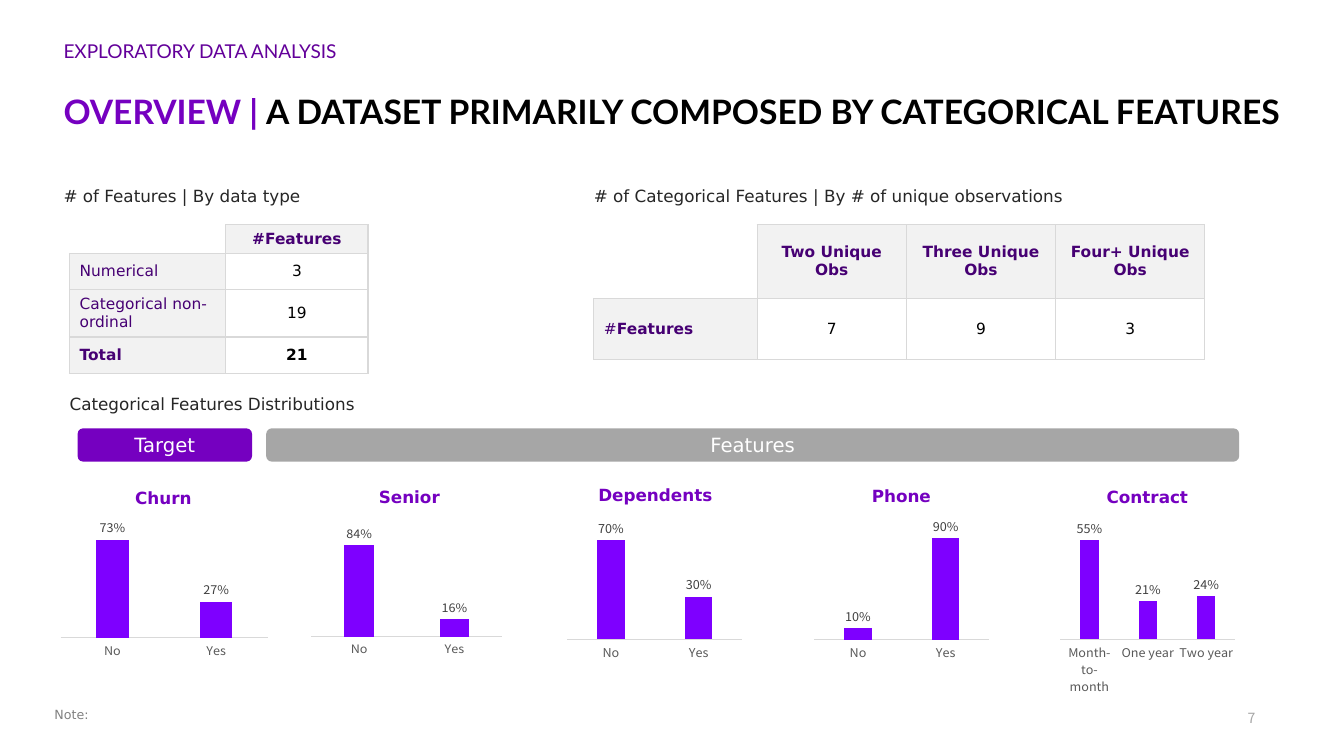
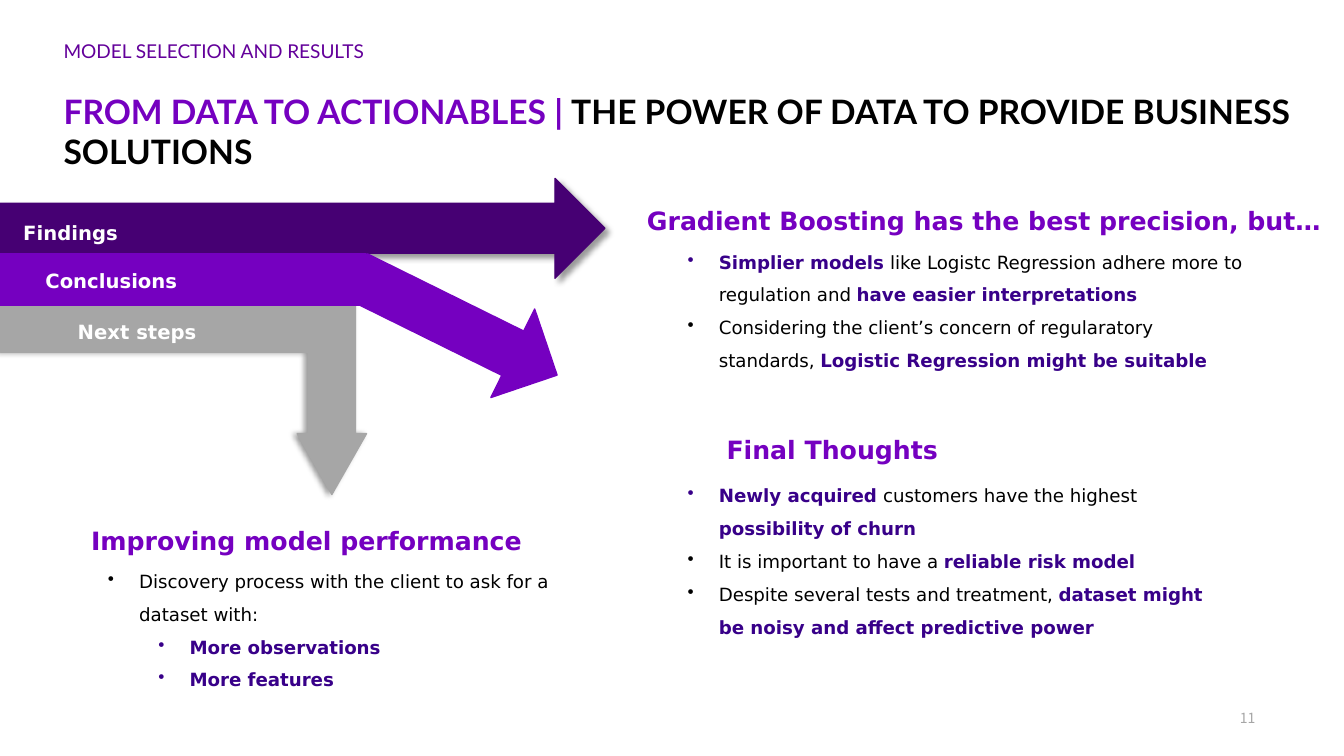
from lxml import etree
from pptx import Presentation
from pptx.chart.data import CategoryChartData
from pptx.dml.color import RGBColor
from pptx.enum.chart import XL_CHART_TYPE, XL_LABEL_POSITION, XL_TICK_MARK
from pptx.enum.shapes import MSO_SHAPE
from pptx.enum.text import MSO_ANCHOR, PP_ALIGN
from pptx.oxml.ns import qn
from pptx.util import Emu, Inches, Pt

COLUMNS = XL_CHART_TYPE.COLUMN_CLUSTERED
OUTSIDE_END = XL_LABEL_POSITION.OUTSIDE_END
NO_TICK = XL_TICK_MARK.NONE
RECT, ROUNDED = MSO_SHAPE.RECTANGLE, MSO_SHAPE.ROUNDED_RECTANGLE
RIGHT_ARROW, BENT_ARROW = MSO_SHAPE.RIGHT_ARROW, MSO_SHAPE.BENT_ARROW
TOP, MIDDLE, BOTTOM = MSO_ANCHOR.TOP, MSO_ANCHOR.MIDDLE, MSO_ANCHOR.BOTTOM
LEFT, CENTER, RIGHT = PP_ALIGN.LEFT, PP_ALIGN.CENTER, PP_ALIGN.RIGHT

PURPLE, DEEP, INDIGO, VIOLET = "7500C0", "460073", "380089", "63009A"
BAR = "7E00FF"
BLACK, WHITE = "000000", "FFFFFF"
CAPTION, LABEL, TICK = "262626", "404040", "595959"
NOTE, GREY, RULE, PALE = "808080", "A6A6A6", "D9D9D9", "F2F2F2"
BODY, HEADING, NUMBERS = "DejaVu Sans", "Lato", "Noto Sans CJK JP"


def rgb(value):
    return RGBColor.from_string(value)


def inches(*lengths):
    return [Inches(length) for length in lengths]


def style_font(font, size, color, face, bold=False):
    font.size, font.name, font.bold = Pt(size), face, bold
    font.color.rgb = rgb(color)


def write(frame, *paragraphs, size=12, color=BLACK, face=BODY, bold=False,
          accent=None, align=LEFT, spacing=None):
    """Fill a frame; words between ** marks are bold and in the accent colour."""
    for index, words in enumerate(paragraphs):
        paragraph = frame.add_paragraph() if index else frame.paragraphs[0]
        paragraph.alignment = align
        if spacing:
            paragraph.line_spacing = spacing
        for part, piece in enumerate(words.split("**")):
            if piece:
                run = paragraph.add_run()
                run.text = piece
                marked = part % 2 == 1
                style_font(run.font, size, accent or color if marked else color,
                           face, bold or marked)


def set_borders(cell, sides):
    """Draw the given sides (of L, R, T, B) and clear the others."""
    properties = cell._tc.get_or_add_tcPr()
    for index, side in enumerate("LRTB"):
        line = etree.Element(qn(f"a:ln{side}"), w=str(Pt(1)))
        if side in sides:
            fill = etree.SubElement(line, qn("a:solidFill"))
            etree.SubElement(fill, qn("a:srgbClr"), val=RULE)
        else:
            etree.SubElement(line, qn("a:noFill"))
        properties.insert(index, line)


def add_shadow(shape, direction):
    effects = shape._element.spPr.find(qn("a:effectLst"))
    shadow = etree.SubElement(
        effects, qn("a:outerShdw"), blurRad=str(Pt(4)), dist=str(Pt(3)),
        dir=str(direction * 60000), algn="ctr", rotWithShape="0")
    tint = etree.SubElement(shadow, qn("a:srgbClr"), val=BLACK)
    etree.SubElement(tint, qn("a:alpha"), val="40000")


class Deck:
    def __init__(self):
        self.file = Presentation()
        self.file.slide_width, self.file.slide_height = inches(13.33, 7.5)
        self.slide = None

    def new_slide(self, section, title, number):
        self.slide = self.file.slides.add_slide(self.file.slide_layouts[6])
        self.text((0.63, 0.85, 12.29, 0.99), title, insets=(0, 0.05, 0, 0),
                  size=24, face=HEADING, bold=True, accent=PURPLE)
        self.text((0.63, 0.44, 6.25, 0.19), section, insets=(0, 0.05, 0, 0),
                  size=13.6, face=HEADING, color=VIOLET, spacing=0.5)
        self.text((12.12, 7.02, 0.33, 0.19), number, insets=(0, 0, 0, 0),
                  anchor=BOTTOM, size=10, face=NUMBERS, color=GREY, align=RIGHT)

    def text(self, box, *paragraphs, insets=(0, 0, 0, 0.05), anchor=TOP, **style):
        frame = self.slide.shapes.add_textbox(*inches(*box)).text_frame
        frame.word_wrap = True
        frame.vertical_anchor = anchor
        (frame.margin_left, frame.margin_top,
         frame.margin_right, frame.margin_bottom) = inches(*insets)
        write(frame, *paragraphs, **style)
        return frame

    def heading(self, box, words, size=18, color=PURPLE, align=CENTER):
        self.text(box, words, size=size, color=color, bold=True, align=align,
                  spacing=1.5)

    def bullets(self, box, *items):
        """Add a bulleted list of (level, words) items."""
        frame = self.text(box, *(words for _, words in items),
                          size=13, accent=INDIGO, spacing=1.5)
        for paragraph, (level, _) in zip(frame.paragraphs, items):
            paragraph.level = level
            properties = paragraph._p.get_or_add_pPr()
            properties.set("marL", str(Inches(0.31 + 0.5 * level)))
            properties.set("indent", str(Inches(-0.31)))
            etree.SubElement(properties, qn("a:buChar"), char="•")

    def shape(self, preset, box, color, outlined=True, rotation=0,
              adjustments=(), shadow_direction=None):
        shape = self.slide.shapes.add_shape(preset, *inches(*box))
        shape.rotation = rotation
        for index, value in enumerate(adjustments):
            shape.adjustments[index] = value
        shape.fill.solid()
        shape.fill.fore_color.rgb = rgb(color)
        if outlined:
            shape.line.color.rgb = rgb(color)
            shape.line.width = Pt(1)
        else:
            shape.line.fill.background()
        shape.shadow.inherit = False
        if shadow_direction is not None:
            add_shadow(shape, shadow_direction)
        return shape

    def band(self, box, words, color):
        frame = self.shape(ROUNDED, box, color, outlined=False).text_frame
        frame.vertical_anchor = MIDDLE
        write(frame, words, size=14, color=WHITE, align=CENTER)

    def table(self, left, top, widths, heights, rows):
        """Add a table whose first row and column are headers."""
        table = self.slide.shapes.add_table(
            len(rows), len(widths),
            *inches(left, top, sum(widths), sum(heights))).table
        table.first_row = table.horz_banding = False
        for column, width in zip(table.columns, widths):
            column.width = Inches(width)
        for row, height in zip(table.rows, heights):
            row.height = Inches(height)
        for r, row in enumerate(rows):
            for c, words in enumerate(row):
                cell = table.cell(r, c)
                cell.vertical_anchor = MIDDLE
                header = r == 0 or c == 0
                if words:
                    cell.fill.solid()
                    cell.fill.fore_color.rgb = rgb(PALE if header else WHITE)
                    write(cell.text_frame, words, size=11, bold=r == 0,
                          color=DEEP if header else BLACK,
                          align=CENTER if c else LEFT)
                else:
                    cell.fill.background()
                    etree.SubElement(cell.text_frame.paragraphs[0]._p,
                                     qn("a:endParaRPr"), sz="1100")
                set_borders(cell, "LRTB" if words else "RB")

    def share_chart(self, box, shares):
        data = CategoryChartData(number_format="0%")
        data.categories = list(shares)
        data.add_series("Series 1", list(shares.values()))
        chart = self.slide.shapes.add_chart(COLUMNS, *inches(*box), data).chart
        chart.has_legend = chart.has_title = False
        style_font(chart.font, 10, BLACK, NUMBERS)

        categories, values = chart.category_axis, chart.value_axis
        categories.major_tick_mark = categories.minor_tick_mark = NO_TICK
        categories.format.line.color.rgb = rgb(RULE)
        categories.format.line.width = Pt(0.75)
        style_font(categories.tick_labels.font, 9, TICK, NUMBERS)
        values.has_major_gridlines = False
        values.visible = False
        values.minimum_scale = 0

        plot = chart.plots[0]
        plot.gap_width, plot.overlap = 219, -27
        plot.vary_by_categories = False
        fill = plot.series[0].format.fill
        fill.solid()
        fill.fore_color.rgb = rgb(BAR)
        plot.has_data_labels = True
        labels = plot.data_labels
        labels.show_value = True
        labels.position = OUTSIDE_END
        labels.number_format, labels.number_format_is_linked = "0%", False
        style_font(labels.font, 9, LABEL, NUMBERS)


def add_overview(deck):
    deck.new_slide(
        "EXPLORATORY DATA ANALYSIS",
        "**OVERVIEW | **A DATASET PRIMARILY COMPOSED BY CATEGORICAL FEATURES", "7")
    for left, top, width, caption in (
            (0.63, 1.84, 3.18, "# of Features | By data type"),
            (5.89, 1.84, 6.23, "# of Categorical Features | By # of unique observations"),
            (0.69, 3.91, 3.18, "Categorical Features Distributions")):
        deck.text((left, top, width, 0.25), caption, color=CAPTION)
    deck.table(0.69, 2.23, (1.55, 1.41), (0.28, 0.36, 0.47, 0.36), (
        ("", "#Features"),
        ("Numerical", "3"),
        ("Categorical non-ordinal", "19"),
        ("**Total**", "**21**")))
    deck.table(5.89, 2.23, (1.62, 1.48, 1.48, 1.48), (0.73, 0.61), (
        ("", "Two Unique Obs", "Three Unique Obs", "Four+ Unique Obs"),
        ("#**Features**", "7", "9", "3")))
    deck.band((0.77, 4.25, 1.73, 0.33), "Target", PURPLE)
    deck.band((2.64, 4.25, 9.65, 0.33), "Features", GREY)

    distributions = (
        ("Churn", 4.74, (0.56, 5.15, 2.14, 1.41), {"No": 0.73, "Yes": 0.27}),
        ("Senior", 4.73, (3.05, 5.21, 1.97, 1.33), {"No": 0.84, "Yes": 0.16}),
        ("Dependents", 4.71, (5.59, 5.15, 1.81, 1.43), {"No": 0.7, "Yes": 0.3}),
        ("Phone", 4.72, (8.04, 5.13, 1.81, 1.45), {"No": 0.1, "Yes": 0.9}),
        ("Contract", 4.73, (10.48, 5.15, 1.81, 1.77),
         {"Month-to-month": 0.55, "One year": 0.21, "Two year": 0.24}))
    for index, (feature, top, box, shares) in enumerate(distributions):
        deck.heading((1.03 + 2.44 * index, top, 1.18, 0.31), feature, size=12)
        deck.share_chart(box, shares)
    deck.text((0.54, 7.01, 11.58, 0.2), "Note:", size=9, color=NOTE)


def add_actionables(deck):
    deck.new_slide(
        "MODEL SELECTION AND RESULTS",
        "**FROM DATA TO ACTIONABLES | **THE POWER OF DATA TO PROVIDE BUSINESS SOLUTIONS",
        "11")
    deck.shape(RIGHT_ARROW, (0, 1.77, 6, 0.99), DEEP, shadow_direction=45)
    deck.shape(BENT_ARROW, (0.88, 2.15, 1.88, 3.63), GREY, rotation=90,
               adjustments=(0.25, 0.183, 0.321, 0), shadow_direction=180)
    deck.shape(RECT, (0, 2.52, 3.63, 0.51), PURPLE)
    deck.shape(RIGHT_ARROW, (3.42, 2.74, 2.22, 0.98), PURPLE, rotation=26.3)
    for left, top, label in ((0.23, 2.08, "Findings"),
                             (0.45, 2.55, "Conclusions"),
                             (0.77, 3.06, "Next steps")):
        deck.heading((left, top, 3.18, 0.36), label, size=14, color=WHITE, align=LEFT)

    deck.heading((6.41, 1.89, 6.7, 0.44),
                 "Gradient Boosting has the best precision, but…")
    deck.bullets(
        (6.82, 2.38, 5.62, 1.32),
        (0, "**Simplier models **like Logistc Regression adhere more to "
            "regulation and **have easier interpretations**"),
        (0, "Considering the client’s concern of regularatory standards, "
            "**Logistic Regression might be suitable**"))
    deck.heading((6.5, 4.16, 3.51, 0.44), "Final Thoughts")
    deck.bullets(
        (6.82, 4.7, 5.37, 1.98),
        (0, "**Newly acquired **customers have the highest **possibility of churn**"),
        (0, "It is important to have a **reliable risk model**"),
        (0, "Despite several tests and treatment, "
            "**dataset might be noisy and affect predictive power**"))
    deck.heading((0.62, 5.06, 4.84, 0.44), "Improving model performance")
    deck.bullets(
        (1.07, 5.55, 5.08, 1.32),
        (0, "Discovery process with the client to ask for a dataset with:"),
        (1, "**More observations**"),
        (1, "**More features**"))


def main():
    deck = Deck()
    add_overview(deck)
    add_actionables(deck)
    deck.file.save("out.pptx")


if __name__ == "__main__":
    main()
